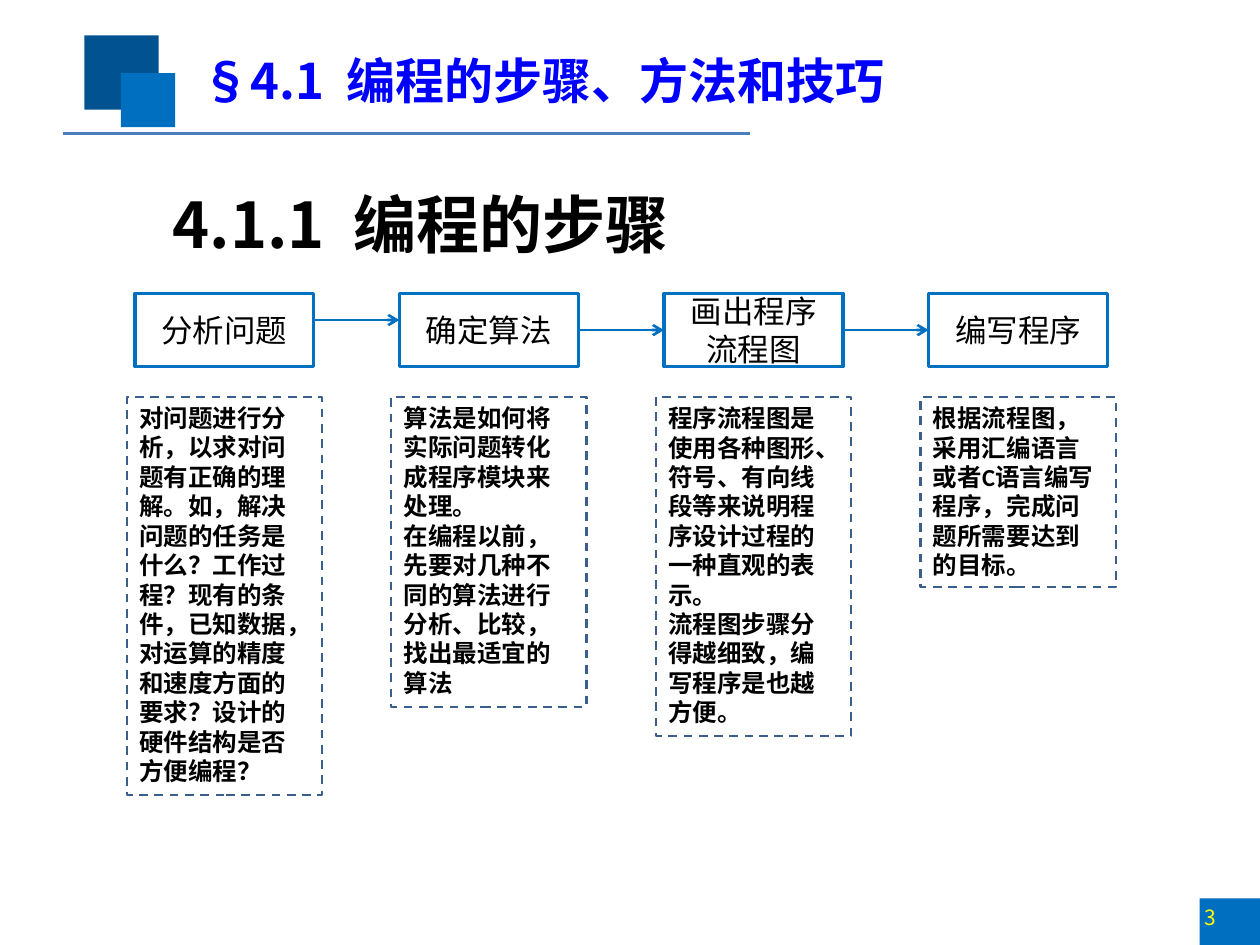
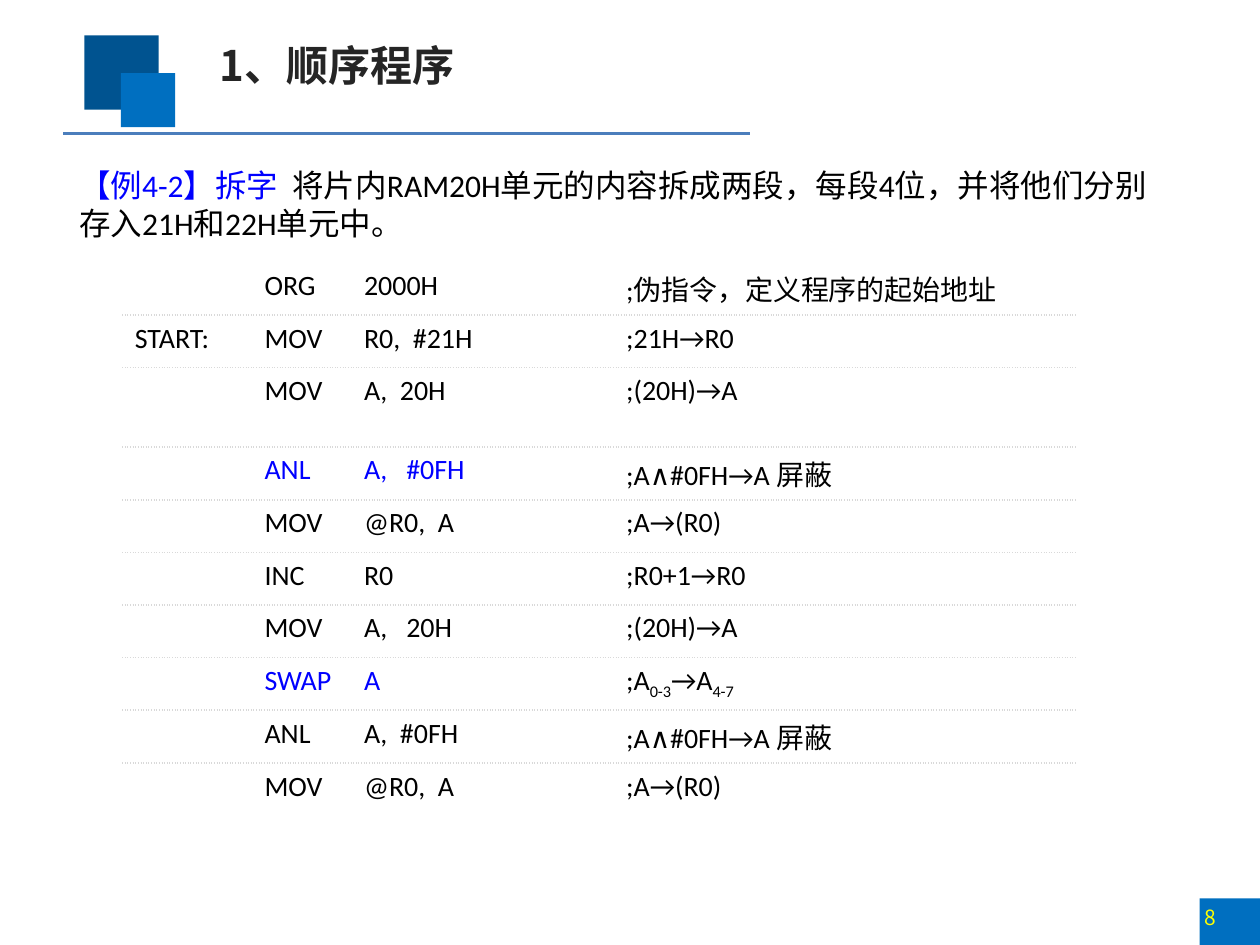
from dataclasses import dataclass

from lxml.etree import SubElement
from pptx import Presentation
from pptx.dml.color import RGBColor
from pptx.enum.dml import MSO_LINE
from pptx.enum.shapes import MSO_CONNECTOR, MSO_SHAPE
from pptx.enum.text import MSO_ANCHOR as Anchor, MSO_AUTO_SIZE as AutoSize, PP_ALIGN as Align
from pptx.oxml.ns import qn
from pptx.util import Inches, Pt

BLACK = RGBColor(0x00, 0x00, 0x00)
WHITE = RGBColor(0xFF, 0xFF, 0xFF)
BLUE_TEXT = RGBColor(0x00, 0x00, 0xFF)
DARK_TEXT = RGBColor(0x25, 0x25, 0x25)
YELLOW = RGBColor(0xFF, 0xFF, 0x00)
BAND_BLUE = RGBColor(0x00, 0x6F, 0xC0)
DARK_BLUE = RGBColor(0x00, 0x53, 0x90)
RULE_BLUE = RGBColor(0x4B, 0x7E, 0xBC)
FLOW_BLUE = RGBColor(0x00, 0x70, 0xC0)
NOTE_BLUE = RGBColor(0x3A, 0x5F, 0x8C)
ROW_RULE = "D9D9D9"
LATIN = "Calibri"
CJK = "Noto Sans CJK SC"
NO_TABLE_STYLE = "{2D5ABB26-0587-4C30-8999-92F81FD0307C}"


@dataclass(frozen=True)
class Box:
    """A rectangle in inches."""
    left: float
    top: float
    width: float
    height: float

    def lengths(self) -> tuple:
        """Return the four lengths as Inches."""
        return tuple(map(Inches, (self.left, self.top, self.width, self.height)))


@dataclass(frozen=True)
class TextStyle:
    """The look of a run of text."""
    size: float
    color: RGBColor = BLACK
    bold: bool = False
    latin: str = LATIN
    east_asian: str = LATIN


@dataclass(frozen=True)
class Step:
    """One step of the flow with its explanation."""
    name: str
    notes: str
    note_height: float


@dataclass(frozen=True)
class CodeLine:
    """One line of assembly; bars in the comment enclose subscripts."""
    label: str
    operation: str
    operands: str
    comment: str
    color: RGBColor = BLACK
    height: float = 0.417


SQUARES = (
    (Box(9.52, 7.13, 0.48, 0.37), BAND_BLUE),
    (Box(0.67, 0.28, 0.59, 0.59), DARK_BLUE),
    (Box(0.96, 0.58, 0.43, 0.43), BAND_BLUE),
)
STEPS = (
    Step("分析问题", "对问题进行分析，以求对问题有正确的理解。如，解决问题的任务是什么？工作过程？"
         "现有的条件，已知数据，对运算的精度和速度方面的要求？设计的硬件结构是否方便编程？", 3.16),
    Step("确定算法", "算法是如何将实际问题转化成程序模块来处理。\n"
         "在编程以前，先要对几种不同的算法进行分析、比较，找出最适宜的算法", 2.46),
    Step("画出程序流程图", "程序流程图是使用各种图形、符号、有向线段等来说明程序设计过程的一种直观的表示。\n"
         "流程图步骤分得越细致，编写程序是也越方便。", 2.69),
    Step("编写程序", "根据流程图，采用汇编语言或者C语言编写程序，完成问题所需要达到的目标。", 1.51),
)
PROGRAM = (
    CodeLine("", "ORG", "2000H", ";伪指令，定义程序的起始地址"),
    CodeLine("START:", "MOV", "R0,  #21H", ";21H→R0"),
    CodeLine("", "MOV", "A,  20H", ";(20H)→A", height=0.63),
    CodeLine("", "ANL", "A,   #0FH", ";A∧#0FH→A 屏蔽", BLUE_TEXT),
    CodeLine("", "MOV", "@R0,  A", ";A→(R0)"),
    CodeLine("", "INC", "R0", ";R0+1→R0"),
    CodeLine("", "MOV", "A,   20H", ";(20H)→A"),
    CodeLine("", "SWAP", "A", ";A|0-3|→A|4-7", BLUE_TEXT),
    CodeLine("", "ANL", "A,  #0FH", ";A∧#0FH→A 屏蔽"),
    CodeLine("", "MOV", "@R0,  A", ";A→(R0)"),
)
COLUMN_WIDTHS = (1.03, 0.79, 2.08, 3.68)
FLOW_LEFT, FLOW_TOP, FLOW_PITCH = 1.07, 2.33, 2.1
FLOW_WIDTH, FLOW_HEIGHT = 1.42, 0.58
NOTE_TOP, NOTE_WIDTH = 3.15, 1.55
FLOW_TEXT = TextStyle(18)
NOTE_TEXT = TextStyle(14, bold=True)


def format_run(run, style: TextStyle) -> None:
    """Give a run its font, size and colour."""
    font = run.font
    font.name, font.size, font.bold = style.latin, Pt(style.size), style.bold
    font.color.rgb = style.color
    properties = run._r.get_or_add_rPr()
    SubElement(properties, qn("a:ea")).set("typeface", style.east_asian)


def write(frame, text: str, style: TextStyle, align=Align.LEFT, anchor=Anchor.TOP) -> None:
    """Fill a text frame and format all of its runs."""
    frame.text = text
    frame.word_wrap = True
    frame.auto_size = AutoSize.NONE
    frame.vertical_anchor = anchor
    for paragraph in frame.paragraphs:
        paragraph.alignment = align
        for run in paragraph.runs:
            format_run(run, style)


def place(shape, box: Box) -> None:
    """Move a placeholder to a box."""
    shape.left, shape.top, shape.width, shape.height = box.lengths()


def add_rectangle(slide, box: Box, fill=None, line=None, width: float = 1):
    """Add a flat rectangle with an optional fill and line."""
    shape = slide.shapes.add_shape(MSO_SHAPE.RECTANGLE, *box.lengths())
    shape.shadow.inherit = False
    if fill is None:
        shape.fill.background()
    else:
        shape.fill.solid()
        shape.fill.fore_color.rgb = fill
    if line is None:
        shape.line.fill.background()
    else:
        shape.line.color.rgb = line
        shape.line.width = Pt(width)
    return shape


def add_line(slide, left: float, right: float, top: float, color: RGBColor, arrow=False) -> None:
    """Add a level line, with an arrowhead at its right end if asked."""
    connector = slide.shapes.add_connector(
        MSO_CONNECTOR.STRAIGHT, Inches(left), Inches(top), Inches(right), Inches(top))
    connector.line.color.rgb = color
    connector.line.width = Pt(1.5)
    if arrow:
        SubElement(connector.line._get_or_add_ln(), qn("a:tailEnd")).set("type", "arrow")
    SubElement(connector._element.spPr, qn("a:effectLst"))


def add_page(presentation, layout: int, title: str, box: Box, style: TextStyle, number: int):
    """Add a slide with the shared band, title and page number."""
    slide = presentation.slides.add_slide(presentation.slide_layouts[layout])
    for square, color in SQUARES:
        add_rectangle(slide, square, color)
    add_line(slide, 0.5, 5.95, 1.06, RULE_BLUE)
    place(slide.shapes.title, box)
    write(slide.shapes.title.text_frame, title, style, anchor=Anchor.MIDDLE)
    frame = slide.shapes.add_textbox(*Box(9.53, 7.15, 0.47, 0.32).lengths()).text_frame
    frame.margin_left = frame.margin_top = Inches(0.03)
    frame.margin_right = frame.margin_bottom = 0
    write(frame, str(number), TextStyle(12, YELLOW, latin=CJK, east_asian=CJK))
    return slide


def add_heading(slide, text: str) -> None:
    """Set the section heading in the body placeholder."""
    body = slide.placeholders[1]
    place(body, Box(0.49, 1.12, 8.69, 1.01))
    write(body.text_frame, text, TextStyle(36, bold=True, latin=CJK, east_asian=CJK))
    paragraph = body.text_frame.paragraphs[0]
    paragraph.line_spacing = 1.5
    paragraph.space_before = Pt(0)
    properties = paragraph._p.get_or_add_pPr()
    properties.set("marL", "0")
    properties.set("indent", str(Inches(0.78)))
    SubElement(properties, qn("a:buNone"))


def add_step(slide, index: int, step: Step) -> None:
    """Draw a step, its explanation and the arrow that leads to it."""
    left = FLOW_LEFT + index * FLOW_PITCH
    box = add_rectangle(slide, Box(left, FLOW_TOP, FLOW_WIDTH, FLOW_HEIGHT), WHITE, FLOW_BLUE, 2)
    write(box.text_frame, step.name, FLOW_TEXT, Align.CENTER, Anchor.MIDDLE)
    note_left = left - (NOTE_WIDTH - FLOW_WIDTH) / 2
    note = add_rectangle(
        slide, Box(note_left, NOTE_TOP, NOTE_WIDTH, step.note_height), None, NOTE_BLUE, 1.25)
    note.line.dash_style = MSO_LINE.DASH
    write(note.text_frame, step.notes, NOTE_TEXT)
    if index:
        arrow_top = 2.54 if index == 1 else FLOW_TOP + FLOW_HEIGHT / 2
        add_line(slide, left - FLOW_PITCH + FLOW_WIDTH, left, arrow_top, FLOW_BLUE, arrow=True)


def add_border(cell, side: str) -> None:
    """Draw a dotted border on one side of a cell."""
    line = SubElement(cell._tc.get_or_add_tcPr(), qn(f"a:{side}"), w=str(Pt(1)))
    fill = SubElement(line, qn("a:solidFill"))
    SubElement(fill, qn("a:srgbClr")).set("val", ROW_RULE)
    SubElement(line, qn("a:prstDash")).set("val", "sysDot")


def write_cell(cell, text: str, color: RGBColor) -> None:
    """Write a cell, lowering the parts between bars."""
    paragraph = cell.text_frame.paragraphs[0]
    for index, part in enumerate(text.split("|") if text else ()):
        run = paragraph.add_run()
        run.text = part
        format_run(run, TextStyle(16, color, east_asian=CJK))
        if index % 2:
            run._r.get_or_add_rPr().set("baseline", "-25000")


def add_program(slide) -> None:
    """Add the table of assembly lines."""
    table = slide.shapes.add_table(
        len(PROGRAM), len(COLUMN_WIDTHS), *Box(0.97, 2.08, 7.58, 4.38).lengths()).table
    table.first_row = table.horz_banding = False
    table._tbl.tblPr.find(qn("a:tableStyleId")).text = NO_TABLE_STYLE
    for column, width in zip(table.columns, COLUMN_WIDTHS):
        column.width = Inches(width)
    last = len(PROGRAM) - 1
    for index, (row, line) in enumerate(zip(table.rows, PROGRAM)):
        row.height = Inches(line.height)
        texts = (line.label, line.operation, line.operands, line.comment)
        colors = (BLACK, line.color, line.color, BLACK)
        for cell, text, color in zip(row.cells, texts, colors):
            write_cell(cell, text, color)
            if index > 0:
                add_border(cell, "lnT")
            if index < last:
                add_border(cell, "lnB")
            cell.fill.background()


def add_example(slide) -> None:
    """Add the task statement with its blue lead."""
    frame = slide.shapes.add_textbox(*Box(0.53, 1.27, 8.85, 0.71).lengths()).text_frame
    write(frame, "【例4-2】拆字  ", TextStyle(18, BLUE_TEXT))
    run = frame.paragraphs[0].add_run()
    run.text = "将片内RAM20H单元的内容拆成两段，每段4位，并将他们分别存入21H和22H单元中。"
    format_run(run, TextStyle(18))


def main() -> None:
    """Build and save the two slides."""
    presentation = Presentation()
    presentation.slide_width, presentation.slide_height = Inches(10), Inches(7.5)

    steps_slide = add_page(
        presentation, 1, "§4.1  编程的步骤、方法和技巧", Box(1.5, 0.35, 7.75, 0.57),
        TextStyle(28, BLUE_TEXT, True, CJK, CJK), 3)
    add_heading(steps_slide, "4.1.1  编程的步骤")
    for index, step in enumerate(STEPS):
        add_step(steps_slide, index, step)

    program_slide = add_page(
        presentation, 5, "1、顺序程序", Box(1.64, 0.26, 3.26, 0.5),
        TextStyle(24, DARK_TEXT, True, CJK, CJK), 8)
    add_example(program_slide)
    add_program(program_slide)
    presentation.save("out.pptx")


if __name__ == "__main__":
    main()
